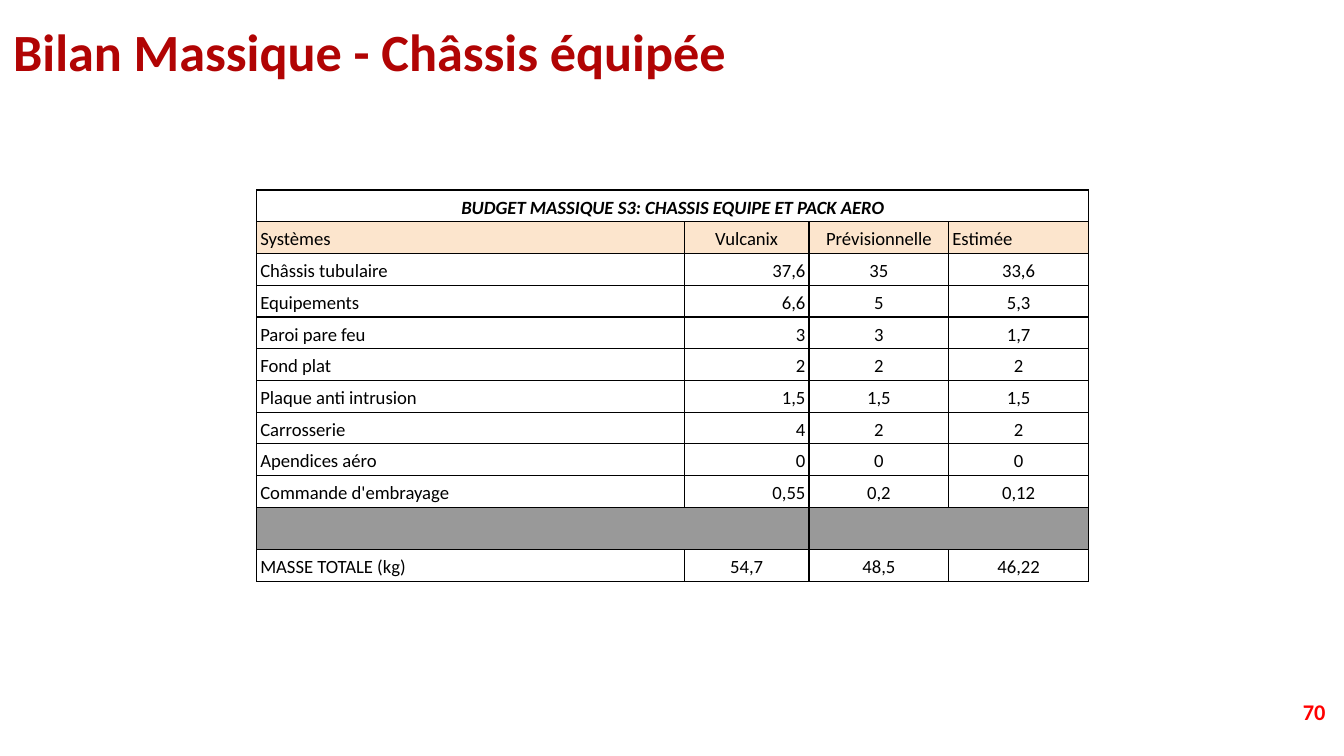
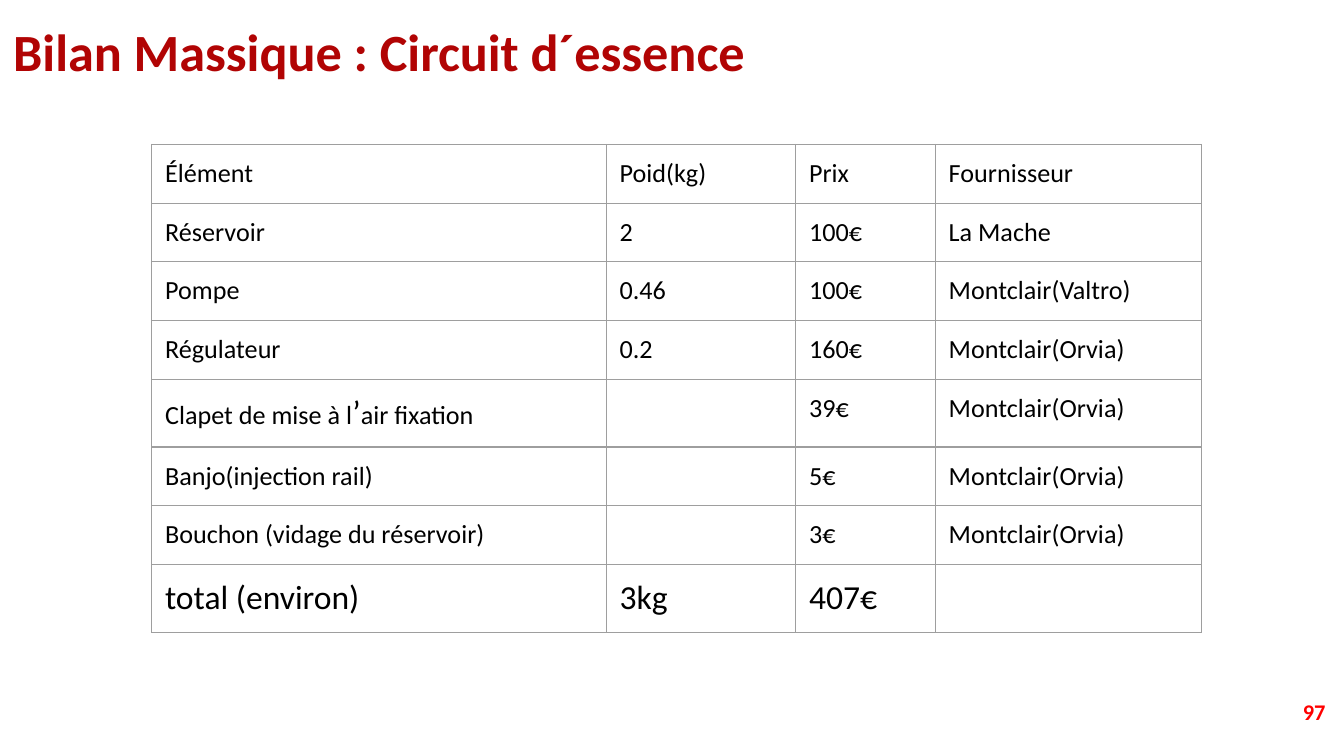
from lxml import etree
from pptx import Presentation
from pptx.dml.color import RGBColor
from pptx.enum.text import MSO_ANCHOR, MSO_AUTO_SIZE, PP_ALIGN
from pptx.oxml.ns import qn
from pptx.util import Cm, Pt

# Shared look
FONT = "Calibri"
BLACK = RGBColor(0x00, 0x00, 0x00)
WHITE = RGBColor(0xFF, 0xFF, 0xFF)
CRIMSON = RGBColor(0xB1, 0x04, 0x04)
RED = RGBColor(0xFF, 0x00, 0x00)
PEACH = RGBColor(0xFC, 0xE5, 0xCD)
GREY = RGBColor(0x99, 0x99, 0x99)
RULE = RGBColor(0x9E, 0x9E, 0x9E)
LEFT, MID, RIGHT = PP_ALIGN.LEFT, PP_ALIGN.CENTER, PP_ALIGN.RIGHT
TOP, CENTRE, BOTTOM = MSO_ANCHOR.TOP, MSO_ANCHOR.MIDDLE, MSO_ANCHOR.BOTTOM
NO_FIT = MSO_AUTO_SIZE.NONE
WIDE, HIGH = 25.4, 14.29
TITLE_ONLY = 5

# Mass budget of the chassis
MASS_HEAD = "BUDGET MASSIQUE S3: CHASSIS EQUIPE ET PACK AERO"
MASS_ROWS = [
    ("Systèmes", "Vulcanix", "Prévisionnelle", "Estimée"),
    ("Châssis tubulaire", "37,6", "35", "33,6"),
    ("Equipements", "6,6", "5", "5,3"),
    ("Paroi pare feu", "3", "3", "1,7"),
    ("Fond plat", "2", "2", "2"),
    ("Plaque anti intrusion", "1,5", "1,5", "1,5"),
    ("Carrosserie", "4", "2", "2"),
    ("Apendices aéro", "0", "0", "0"),
    ("Commande d'embrayage", "0,55", "0,2", "0,12"),
    ("", "", "", ""),
    ("MASSE TOTALE (kg)", "54,7", "48,5", "46,22"),
]

# Parts of the fuel circuit
FUEL_ROWS = [
    ("Élément", "Poid(kg)", "Prix", "Fournisseur"),
    ("Réservoir", "2", "100€", "La Mache"),
    ("Pompe", "0.46", "100€", "Montclair(Valtro)"),
    ("Régulateur", "0.2", "160€", "Montclair(Orvia)"),
    ("Clapet de mise à l’air fixation", "", "39€", "Montclair(Orvia)"),
    ("Banjo(injection rail)", "", "5€", "Montclair(Orvia)"),
    ("Bouchon (vidage du réservoir)", "", "3€", "Montclair(Orvia)"),
    ("total (environ)", "3kg", "407€", ""),
]


def add_run(para, text, size, color=BLACK, bold=False, slant=False):
    run = para.add_run()
    run.text = text
    font = run.font
    font.name, font.size = FONT, Pt(size)
    font.bold, font.italic = bold, slant
    font.color.rgb = color


def set_pad(part, side, edge):
    part.margin_left = part.margin_right = Cm(side)
    part.margin_top = part.margin_bottom = Cm(edge)


def add_page(deck, title, number):
    slide = deck.slides.add_slide(deck.slide_layouts[TITLE_ONLY])
    slide.background.fill.solid()
    slide.background.fill.fore_color.rgb = WHITE

    # Title
    head = slide.shapes.title
    head.left, head.top = Cm(0), Cm(0.05)
    head.width, head.height = Cm(WIDE), Cm(1.83)
    frame = head.text_frame
    frame.auto_size, frame.word_wrap = NO_FIT, True
    frame.vertical_anchor = CENTRE
    set_pad(frame, 0.25, 0.25)
    para = frame.paragraphs[0]
    para.alignment = LEFT
    add_run(para, title, 28, CRIMSON, True)

    # Page number
    box = slide.shapes.add_textbox(Cm(22.71), Cm(13), Cm(2.59), Cm(0.91))
    frame = box.text_frame
    frame.word_wrap = True
    frame.vertical_anchor = CENTRE
    set_pad(frame, 0.25, 0.13)
    para = frame.paragraphs[0]
    para.alignment = RIGHT
    add_run(para, number, 12, RED, True)
    return slide


def add_grid(slide, left, top, cols, rows):
    shape = slide.shapes.add_table(len(rows), len(cols), Cm(left), Cm(top),
                                   Cm(sum(cols)), Cm(sum(rows)))
    grid = shape.table
    grid.first_row = grid.horz_banding = False
    for col, width in zip(grid.columns, cols):
        col.width = Cm(width)
    for row, height in zip(grid.rows, rows):
        row.height = Cm(height)
    return grid


def style_cell(cell, anchor, pad, line, fill=None):
    cell.vertical_anchor = anchor
    set_pad(cell, *pad)
    if fill is None:
        cell.fill.background()
    else:
        cell.fill.solid()
        cell.fill.fore_color.rgb = fill
    # Borders go before the fill
    props = cell._tc.get_or_add_tcPr()
    for spot, side in enumerate(("lnL", "lnR", "lnT", "lnB")):
        edge = etree.Element(qn(f"a:{side}"), w=str(Pt(0.75)))
        paint = etree.SubElement(edge, qn("a:solidFill"))
        etree.SubElement(paint, qn("a:srgbClr"), val=str(line))
        props.insert(spot, edge)


def set_blank(para, size):
    etree.SubElement(para._p, qn("a:endParaRPr"), sz=str(size * 100))


def fill_mass(slide, left, top):
    rows = [(MASS_HEAD, "", "", "")] + MASS_ROWS
    gap, last = len(rows) - 2, len(rows) - 1
    highs = [0.6] * len(rows)
    highs[gap] = 0.8
    grid = add_grid(slide, left, top, (8.08, 2.36, 2.64, 2.64), highs)
    aligns = {0: (MID,) * 4, 1: (LEFT, MID, MID, LEFT),
              last: (LEFT, MID, MID, MID)}
    fills = {1: PEACH, gap: GREY}
    for r, row in enumerate(rows):
        for c, text in enumerate(row):
            cell = grid.cell(r, c)
            style_cell(cell, BOTTOM, (0.07, 0.05), BLACK, fills.get(r))
            para = cell.text_frame.paragraphs[0]
            para.alignment = aligns.get(r, (LEFT, RIGHT, MID, MID))[c]
            para.line_spacing = 1.15
            if text:
                add_run(para, text, 10, bold=r == 0, slant=r == 0)
            else:
                set_blank(para, 10)
    grid.cell(0, 0).merge(grid.cell(0, 3))
    for c in (0, 2):
        grid.cell(gap, c).merge(grid.cell(gap, c + 1))


def fill_fuel(slide, left, top):
    last = len(FUEL_ROWS) - 1
    # Rows with larger type are taller
    highs = [1.28 if r == last or "’" in row[0] else 1.11
             for r, row in enumerate(FUEL_ROWS)]
    grid = add_grid(slide, left, top, (8.59, 3.58, 2.64, 5.03), highs)
    for r, row in enumerate(FUEL_ROWS):
        size = 18 if r == last else 14
        for c, text in enumerate(row):
            cell = grid.cell(r, c)
            style_cell(cell, TOP, (0.25, 0.25), RULE)
            para = cell.text_frame.paragraphs[0]
            if not text:
                set_blank(para, 14)
                continue
            start, mark, end = text.partition("’")
            add_run(para, start, size)
            if mark:
                add_run(para, mark, 18)
                add_run(para, end, size)


def main():
    deck = Presentation()
    deck.slide_width, deck.slide_height = Cm(WIDE), Cm(HIGH)
    fill_mass(add_page(deck, "Bilan Massique - Châssis équipée", "70"),
              4.85, 3.59)
    fill_fuel(add_page(deck, "Bilan Massique : Circuit d´essence", "97"),
              2.87, 2.73)
    deck.save("out.pptx")


if __name__ == "__main__":
    main()
